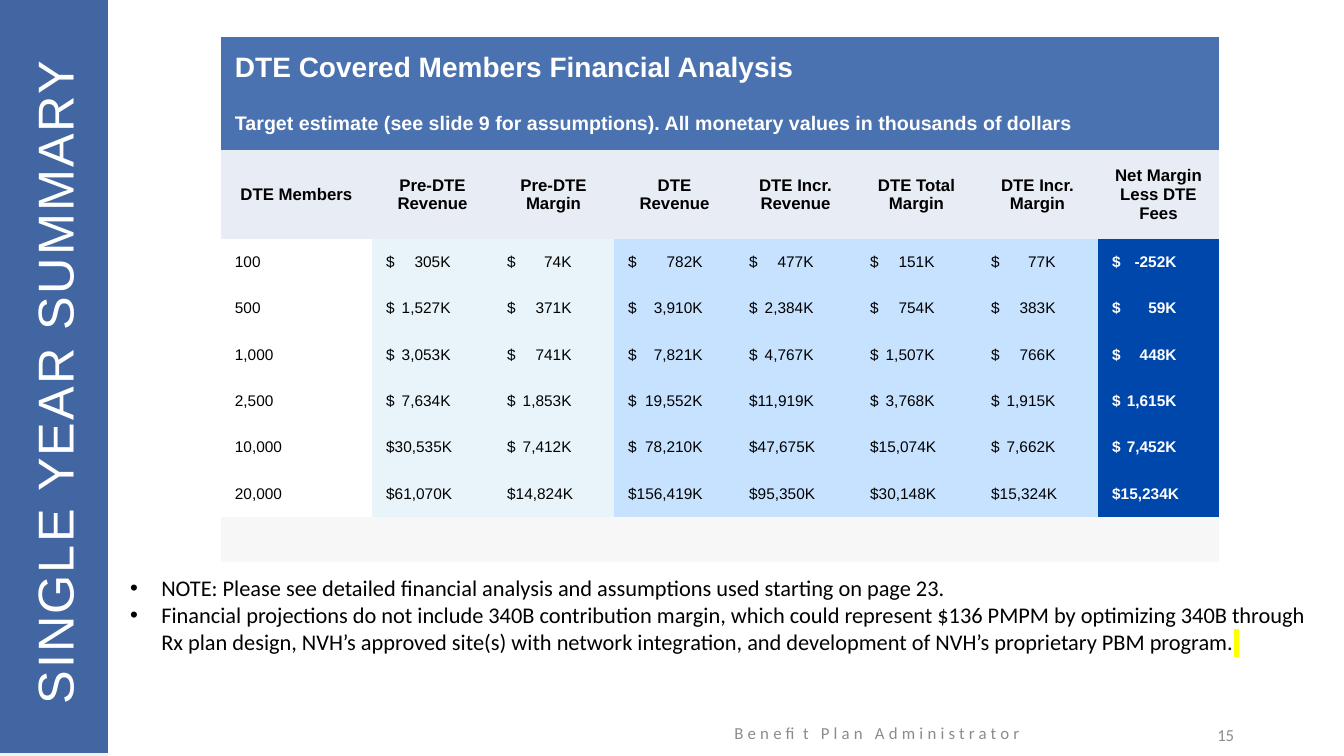
import pptx
import pptx.dml.color
import pptx.enum.shapes
import pptx.enum.text
import pptx.oxml
import pptx.oxml.ns
import pptx.util
from lxml import etree
from pptx.util import Inches

ALIGN = pptx.enum.text.PP_ALIGN
MIDDLE = pptx.enum.text.MSO_ANCHOR.MIDDLE

COLORS = {
    "white": "FFFFFF", "black": "000000", "grey": "8C8C8C",
    "under": "F2F2F2", "sidebar": "254F96", "banner": "4A72B0",
    "header": "E7ECF5", "before": "E8F4F9", "after": "C6E2FF",
    "net": "0047AB", "closing": "F7F7F7", "mark": "FFFF00",
}
NO_GRID_STYLE = "{2D5ABB26-0587-4C30-8999-92F81FD0307C}"

BANNERS = [
    ("DTE Covered Members Financial Analysis", 20),
    ("Target estimate (see slide 9 for assumptions). "
     "All monetary values in thousands of dollars", 14),
]
HEADERS = ["DTE Members", "Pre-DTE Revenue", "Pre-DTE Margin", "DTE Revenue",
           "DTE Incr. Revenue", "DTE Total Margin", "DTE Incr. Margin",
           "Net Margin Less DTE Fees"]
# A space after the dollar sign stands for a tab to the right-aligned amount
MEMBERS = [
    ["100", "$ 305K", "$ 74K", "$ 782K", "$ 477K", "$ 151K", "$ 77K", "$ -252K"],
    ["500", "$ 1,527K", "$ 371K", "$ 3,910K", "$ 2,384K", "$ 754K", "$ 383K", "$ 59K"],
    ["1,000", "$ 3,053K", "$ 741K", "$ 7,821K", "$ 4,767K", "$ 1,507K", "$ 766K", "$ 448K"],
    ["2,500", "$ 7,634K", "$ 1,853K", "$ 19,552K", "$11,919K", "$ 3,768K", "$ 1,915K", "$ 1,615K"],
    ["10,000", "$30,535K", "$ 7,412K", "$ 78,210K", "$47,675K", "$15,074K", "$ 7,662K", "$ 7,452K"],
    ["20,000", "$61,070K", "$14,824K", "$156,419K", "$95,350K", "$30,148K", "$15,324K", "$15,234K"],
]
COLUMN_FILLS = ["white"] + ["before"] * 2 + ["after"] * 4 + ["net"]
AMOUNT_TABS = [0, 0.64, 0.64, 0.74, 0.64, 0.64, 0.64, 0.64]
ROW_HEIGHTS = [0.6, 0.52, 0.88] + [0.46] * len(MEMBERS) + [0.45]
NOTES = [
    "NOTE: Please see detailed financial analysis and assumptions used "
    "starting on page 23.",
    "Financial projections do not include 340B contribution margin, which "
    "could represent $136 PMPM by optimizing 340B through Rx plan design, "
    "NVH’s approved site(s) with network integration, and development of "
    "NVH’s proprietary PBM program.",
]


def rgb(name):
    return pptx.dml.color.RGBColor.from_string(COLORS[name])


def add_run(paragraph, text, size, color, font="Arial", bold=False, spacing=0):
    run = paragraph.add_run()
    run.text = text
    run.font.name = font
    run.font.size = pptx.util.Pt(size)
    run.font.bold = bold
    run.font.color.rgb = rgb(color)
    if spacing:
        run.font._element.set("spc", str(int(spacing * 100)))
    return run


def place(shape, left, top, width, height):
    shape.left, shape.top = Inches(left), Inches(top)
    shape.width, shape.height = Inches(width), Inches(height)


def add_sidebar(slide, top, color, depth, opacity=100):
    bar = slide.shapes.add_shape(
        pptx.enum.shapes.MSO_SHAPE.RECTANGLE,
        Inches(0), Inches(top), Inches(1.07), Inches(7.5))
    bar.shadow.inherit = False
    bar.line.fill.background()
    bar.fill.solid()
    bar.fill.fore_color.rgb = rgb(color)
    if opacity < 100:
        fill_color = bar.element.spPr.find(".//" + pptx.oxml.ns.qn("a:srgbClr"))
        etree.SubElement(fill_color, pptx.oxml.ns.qn("a:alpha"),
                         val=str(opacity * 1000))
    # Keep the bar behind the placeholders
    bar.element.getparent().insert(depth, bar.element)


def format_title(title):
    place(title, -2.83, 3.32, 6.72, 0.82)
    title.rotation = 270
    frame = title.text_frame
    frame.auto_size = pptx.enum.text.MSO_AUTO_SIZE.NONE
    frame.vertical_anchor = MIDDLE
    paragraph = frame.paragraphs[0]
    paragraph.alignment = ALIGN.LEFT
    add_run(paragraph, "SINGLE YEAR SUMMARY", 36, "white", spacing=1.5)


def format_notes(body):
    place(body, 1.19, 5.65, 11.9, 0.91)
    frame = body.text_frame
    frame.auto_size = pptx.enum.text.MSO_AUTO_SIZE.NONE
    for index, note in enumerate(NOTES):
        paragraph = frame.add_paragraph() if index else frame.paragraphs[0]
        paragraph.space_before = pptx.util.Pt(0)
        properties = paragraph._p.get_or_add_pPr()
        properties.set("marL", str(Inches(0.31)))
        properties.set("indent", str(-Inches(0.31)))
        etree.SubElement(properties, pptx.oxml.ns.qn("a:buFont"), typeface="Arial")
        etree.SubElement(properties, pptx.oxml.ns.qn("a:buChar"), char="•")
        add_run(paragraph, note, 16, "black", "Calibri")
    # Highlighted gap closing the last note
    gap = add_run(paragraph, " ", 16, "black", "Calibri")
    highlight = etree.Element(pptx.oxml.ns.qn("a:highlight"))
    etree.SubElement(highlight, pptx.oxml.ns.qn("a:srgbClr"), val=COLORS["mark"])
    gap.font._element.find(pptx.oxml.ns.qn("a:solidFill")).addnext(highlight)


def add_footer(slide, text, left, top, width, alignment, spacing=0):
    box = slide.shapes.add_textbox(
        Inches(left), Inches(top), Inches(width), Inches(0.4))
    box.text_frame.word_wrap = True
    box.text_frame.vertical_anchor = MIDDLE
    paragraph = box.text_frame.paragraphs[0]
    paragraph.alignment = alignment
    add_run(paragraph, text, 12, "grey", "Calibri", spacing=spacing)


def fill_cell(cell, fill, text="", size=11, color="black", bold=False,
              alignment=ALIGN.LEFT, tab=0):
    cell.fill.solid()
    cell.fill.fore_color.rgb = rgb(fill)
    cell.margin_left = cell.margin_right = Inches(0.14)
    cell.margin_top = cell.margin_bottom = 0
    cell.vertical_anchor = MIDDLE
    paragraph = cell.text_frame.paragraphs[0]
    paragraph.alignment = alignment
    if tab:
        tabs = etree.SubElement(paragraph._p.get_or_add_pPr(),
                                pptx.oxml.ns.qn("a:tabLst"))
        etree.SubElement(tabs, pptx.oxml.ns.qn("a:tab"),
                         pos=str(Inches(tab)), algn="r")
    if text:
        add_run(paragraph, text, size, color, bold=bold)


def add_financial_table(slide):
    table = slide.shapes.add_table(
        len(ROW_HEIGHTS), len(HEADERS), Inches(2.19), Inches(0.37),
        Inches(9.9), Inches(sum(ROW_HEIGHTS))).table
    table.first_row = table.horz_banding = False
    table._tbl.tblPr.find(pptx.oxml.ns.qn("a:tableStyleId")).text = NO_GRID_STYLE
    for row, height in zip(table.rows, ROW_HEIGHTS):
        row.height = Inches(height)
    for index, column in enumerate(table.columns):
        column.width = Inches(1.2 if index else 1.5)

    # Full-width rows
    last_row, last_column = len(ROW_HEIGHTS) - 1, len(HEADERS) - 1
    for row in (0, 1, last_row):
        table.cell(row, 0).merge(table.cell(row, last_column))
    for row, (text, size) in enumerate(BANNERS):
        fill_cell(table.cell(row, 0), "banner", text, size, "white", True)
    fill_cell(table.cell(last_row, 0), "closing")

    # Column headers and amounts
    for column, header in enumerate(HEADERS):
        fill_cell(table.cell(2, column), "header", header, 12, bold=True,
                  alignment=ALIGN.CENTER)
        fill = COLUMN_FILLS[column]
        is_net = fill == "net"
        for row, amounts in enumerate(MEMBERS, start=3):
            text = amounts[column].replace(" ", "\t")
            fill_cell(table.cell(row, column), fill, text,
                      color="white" if is_net else "black", bold=is_net,
                      tab=AMOUNT_TABS[column] if "\t" in text else 0)


def main():
    presentation = pptx.Presentation()
    presentation.slide_width = Inches(13.33)
    presentation.slide_height = Inches(7.5)
    slide = presentation.slides.add_slide(presentation.slide_layouts[1])
    slide.background.fill.solid()
    slide.background.fill.fore_color.rgb = rgb("white")

    # Sidebar with title
    add_sidebar(slide, 0, "under", 2)
    add_sidebar(slide, -0.03, "sidebar", 3, opacity=86)
    format_title(slide.shapes.title)

    # Notes, footer and table
    format_notes(slide.placeholders[1])
    add_footer(slide, "Benefit Plan Administrator", 6.45, 7.07, 4.5,
               ALIGN.CENTER, spacing=3)
    add_footer(slide, "15", 9.34, 7.09, 3, ALIGN.RIGHT)
    add_financial_table(slide)
    presentation.save("out.pptx")


if __name__ == "__main__":
    main()
